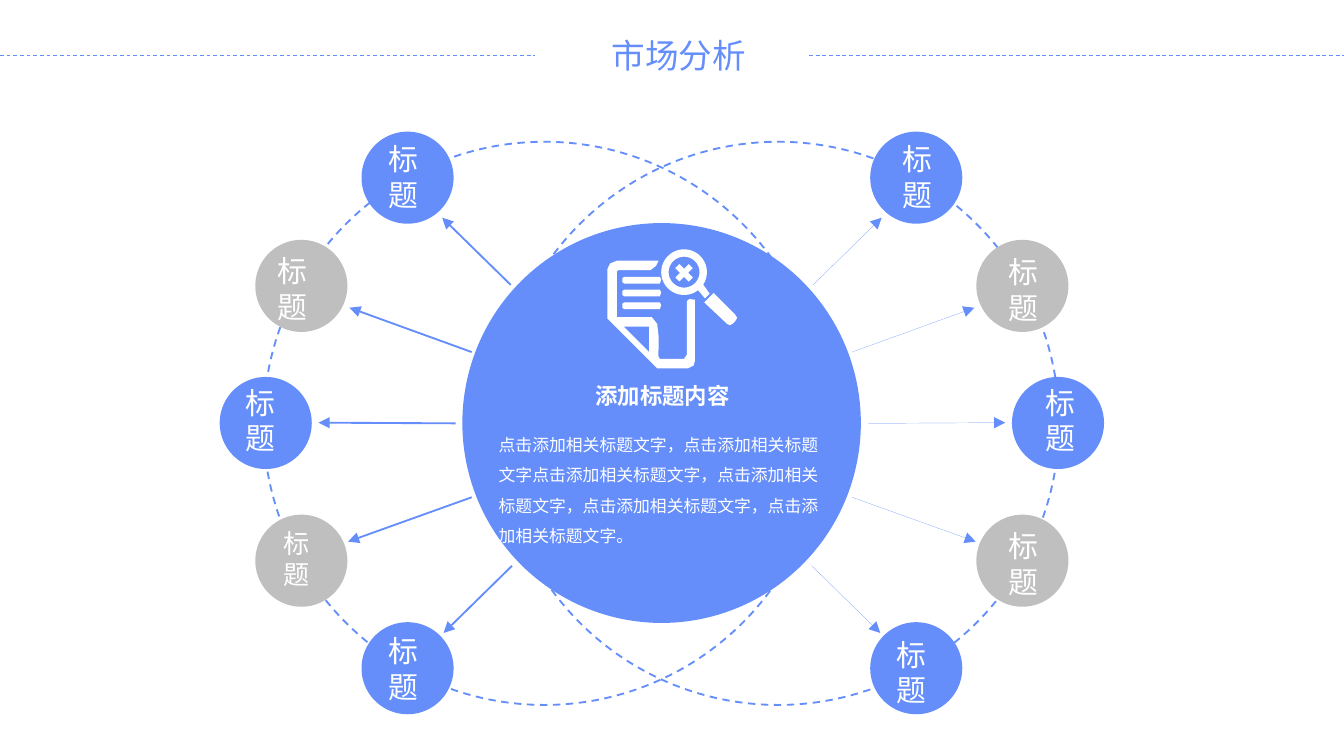
from dataclasses import dataclass
from math import cos, radians, sin

from lxml.etree import SubElement
from pptx import Presentation
from pptx.dml.color import RGBColor
from pptx.enum.dml import MSO_LINE
from pptx.enum.shapes import MSO_CONNECTOR, MSO_SHAPE
from pptx.enum.text import MSO_ANCHOR, MSO_AUTO_SIZE, PP_ALIGN
from pptx.oxml.ns import qn
from pptx.util import Inches, Pt


@dataclass(frozen=True)
class Theme:
    font: str = "Noto Sans CJK SC"
    blue: str = "658EFB"
    grey: str = "BFBFBF"
    white: str = "FFFFFF"
    title: int = 18
    label: int = 16
    small_label: int = 14
    heading: int = 12
    body: int = 9
    line: float = 1
    thin: float = 0.5
    hairline: float = 0.01


THEME = Theme()
WIDTH = Inches(10)
HEIGHT = WIDTH * 9 // 16
COLS = 100
CELL = WIDTH / COLS
AXIS = 49.25
NODE = 6.85
TIGHT = (0.7, 0.4, 0.7, 0.4)
WIDE = (1, 0.5, 1, 0.5)

NODE_ROWS = [
    (26.9, 9.8, THEME.blue, (38, 21.2), (32.9, 16.2)),
    (19, 17.85, THEME.grey, (35.1, 26.2), (26, 22.9)),
    (16.35, 28.05, THEME.blue, (33.9, 31.5), (23.7, 31.45)),
    (19, 38.3, THEME.grey, (35.1, 37), (25.9, 40.3)),
    (26.9, 46.3, THEME.blue, (38.1, 42.1), (33, 47.1)),
]
LABELS_LEFT = [(27.95, 10), (19.65, 18.3), (17.3, 28.1), (20.1, 38.75), (27.95, 46.6)]
LABELS_RIGHT = [(66.15, 10), (74.05, 18.4), (76.8, 28.1), (74.05, 38.8), (65.75, 46.85)]
BODY = ("点击添加相关标题文字，点击添加相关标题文字点击添加相关标题文字，"
        "点击添加相关标题文字，点击添加相关标题文字，点击添加相关标题文字。")


def grid(*cells):
    return [round(c * CELL) for c in cells]


def mirror(point):
    return 2 * AXIS - point[0], point[1]


def rgb(code):
    return RGBColor.from_string(code)


def write(shape, text, size, color, insets, wrap=True, align=PP_ALIGN.LEFT,
          spacing=1.0, bold=False):
    tf = shape.text_frame
    sides = ("margin_left", "margin_top", "margin_right", "margin_bottom")
    frame = dict(zip(sides, grid(*insets)))
    frame.update(word_wrap=wrap, vertical_anchor=MSO_ANCHOR.TOP,
                 auto_size=MSO_AUTO_SIZE.NONE)
    for name, value in frame.items():
        setattr(tf, name, value)
    p = tf.paragraphs[0]
    p.alignment, p.line_spacing = align, spacing
    r = p.add_run()
    r.text = text
    for name, value in {"size": Pt(size), "name": THEME.font, "bold": bold}.items():
        setattr(r.font, name, value)
    r.font.color.rgb = rgb(color)
    SubElement(r.font._element, qn("a:ea"), typeface=THEME.font)


def add_text(shapes, box, *args, **kwargs):
    write(shapes.add_textbox(*grid(*box)), *args, **kwargs)


def add_title(s, text):
    title = s.shapes.title
    places = ("left", "top", "width", "height")
    for name, value in zip(places, grid(44.8, 2.2, 11.6, 3.8)):
        setattr(title, name, value)
    write(title, text, THEME.title, THEME.blue, TIGHT, wrap=False)


def paint(sp, color):
    sp.shadow.inherit = False
    sp.fill.solid()
    sp.fill.fore_color.rgb = rgb(color)
    sp.line.fill.background()


def add_disc(shapes, box, color):
    paint(shapes.add_shape(MSO_SHAPE.OVAL, *grid(*box)), color)


def add_orbit(s, box):
    sp = s.shapes.add_shape(MSO_SHAPE.OVAL, *grid(*box))
    sp.shadow.inherit = False
    sp.fill.background()
    style_line(sp.line, THEME.line, dashed=True)


def style_line(line, width, dashed=False):
    line.color.rgb = rgb(THEME.blue)
    line.width = Pt(width)
    if dashed:
        line.dash_style = MSO_LINE.DASH


def add_line(s, start, end, width, dashed=False, arrow=False):
    cx = s.shapes.add_connector(MSO_CONNECTOR.STRAIGHT, *grid(*start, *end))
    style_line(cx.line, width, dashed)
    if arrow:
        SubElement(cx.line._get_or_add_ln(), qn("a:tailEnd"), type="triangle")
    SubElement(cx._element.spPr, qn("a:effectLst"))


def add_node(s, corner, color, label, size):
    group = s.shapes.add_group_shape().shapes
    add_disc(group, (*corner, NODE, NODE), color)
    extent = (3.9, 5.7) if size == THEME.small_label else (5.9, 6.4)
    add_text(group, (*label, *extent), "标题", size, THEME.white, WIDE)


def arc(center, radius, first=0, last=360):
    angles = [radians(first + (last - first) * i / 40) for i in range(41)]
    return [(center[0] + radius * cos(a), center[1] + radius * sin(a)) for a in angles]


def icon_outlines():
    lens = (50.9, 20.25)
    cross = [(50.3, 20.6), (50.6, 20.3), (50.25, 19.95), (50.55, 19.65),
             (50.9, 20), (51.25, 19.65), (51.55, 19.95), (51.2, 20.3),
             (51.55, 20.65), (51.25, 20.95), (50.9, 20.6), (50.55, 20.95),
             (50.25, 20.65)]
    page = [(45.2, 20), (45.2, 23.7), (47.1, 25.6), (48.6, 27.1), (48.9, 27.4),
            (51.2, 27.4), (51.6, 27.2), (51.7, 26.9), (51.7, 22.3),
            (51.3, 22.25), (51.1, 22.4), (51.1, 24.6), (51.1, 26.4),
            (50.9, 26.7), (49.1, 26.7), (48.98, 26.5), (49, 25.9), (49, 25),
            (48.9, 24.1), (48.5, 23.6), (48, 23.6), (45.9, 23.6),
            (45.9, 20.2), (46, 20.1), (48.4, 20.1), (48.8, 19.8),
            (49, 19.4), (45.9, 19.4), (45.4, 19.6)]
    handle = [(53.1, 21.8), (54.7, 23.4), (54.85, 23.65), (54.7, 23.9),
              (54.5, 24.1), (54.3, 24.2), (54.1, 24.1), (52.4, 22.5)]
    rim = arc(lens, 1.7, 52, 393) + [(52.8, 21.85), (52.45, 22.2)]
    fold = [(48.3, 26.2), (48.3, 24.3), (46.4, 24.3)]
    bars = [[(46.3, y), (46.45, y - 0.1), (49.1, y - 0.1), (49.2, y + 0.1),
             (49.1, y + 0.4), (46.45, y + 0.4), (46.3, y + 0.3)]
            for y in (20.7, 21.65, 22.6)]
    return [page, cross, handle, rim, arc(lens, 1.15), fold, *bars]


def add_icon(s):
    outlines = [[grid(*point) for point in line] for line in icon_outlines()]
    builder = s.shapes.build_freeform(*outlines[0][0], scale=1)
    for index, points in enumerate(outlines):
        if index:
            builder.move_to(*points[0])
        builder.add_line_segments(points[1:], close=True)
    paint(builder.convert_to_shape(), THEME.white)


def add_side(s, flip, orbit_left, width):
    add_orbit(s, (orbit_left, 10.55, 41.8, 41.9))
    for *_, start, end in NODE_ROWS:
        add_line(s, flip(start), flip(end), width, arrow=True)


def add_nodes(s):
    for index, (x, y, color, *_) in enumerate(NODE_ROWS):
        size = THEME.small_label if index == 3 else THEME.label
        add_node(s, (x, y), color, LABELS_LEFT[index], size)
        add_node(s, (2 * AXIS - x - NODE, y), color, LABELS_RIGHT[index], THEME.label)


def main():
    prs = Presentation()
    prs.slide_width = WIDTH
    prs.slide_height = HEIGHT
    s = prs.slides.add_slide(prs.slide_layouts[5])
    add_title(s, "市场分析")
    for left, right in ((0, 39.8), (60.2, COLS)):
        add_line(s, (left, 4.1), (right, 4.1), THEME.thin, dashed=True)
    add_side(s, tuple, 19.6, THEME.line)
    add_side(s, mirror, 37, THEME.hairline)
    add_disc(s.shapes, (34.4, 16.6, 29.65, 29.75), THEME.blue)
    add_icon(s)
    add_text(s.shapes, (36.4, 31.2, 25.8, 11.8), BODY, THEME.body, THEME.white,
             TIGHT, spacing=1.5)
    add_text(s.shapes, (36.4, 28.05, 25.8, 2.8), "添加标题内容", THEME.heading,
             THEME.white, TIGHT, align=PP_ALIGN.CENTER, bold=True)
    add_nodes(s)
    prs.save("out.pptx")


if __name__ == "__main__":
    main()
